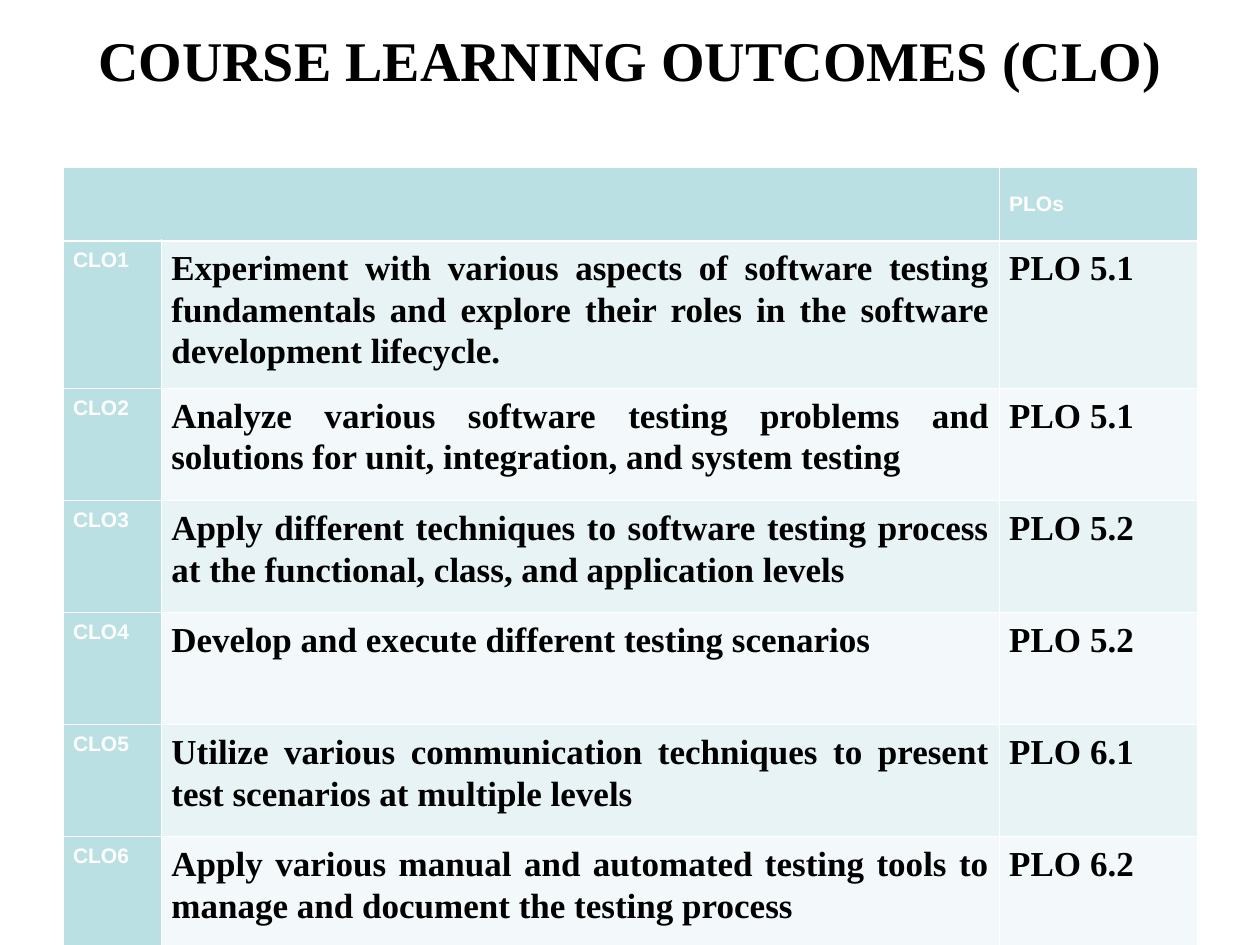
from lxml.etree import SubElement
from pptx import Presentation
from pptx.dml.color import RGBColor
from pptx.enum.text import MSO_ANCHOR, PP_ALIGN
from pptx.oxml.ns import qn
from pptx.util import Inches, Pt

WIDTH, HEIGHT = 10, 7.5
MARGIN = 0.05 * WIDTH
CONTENT_WIDTH = WIDTH - 2 * MARGIN
COLUMNS = [0.78, 6.65, 1.57]
ROWS = [0.58, 1.07] + [0.89] * 5

HEADING_FILL = "BBE0E3"
BAND_FILLS = ["E7F3F4", "F3F9FA"]
WHITE, BLACK = "FFFFFF", "000000"
THIN, THICK = 0.45, 1.47

LABEL = {"size": 12, "font": "Arial", "color": WHITE}
BODY = {"size": 20, "font": "Times New Roman", "color": BLACK}
TITLE = {**BODY, "size": 32}

OUTCOMES = [
    ("Experiment with various aspects of software testing fundamentals and explore "
     "their roles in the software development lifecycle.", "PLO 5.1"),
    ("Analyze various software testing problems and solutions for unit, integration, "
     "and system testing", "PLO 5.1"),
    ("Apply different techniques to software testing process at the functional, class, "
     "and application levels", "PLO 5.2"),
    ("Develop and execute different testing scenarios", "PLO 5.2"),
    ("Utilize various communication techniques to present test scenarios at multiple "
     "levels", "PLO 6.1"),
    ("Apply various manual and automated testing tools to manage and document the "
     "testing process", "PLO 6.2"),
]


def rgb(code):
    return RGBColor.from_string(code)


def add_span(para, text, size, font, color):
    span = para.add_run()
    span.text = text
    span.font.size = Pt(size)
    span.font.name = font
    span.font.bold = True
    span.font.color.rgb = rgb(color)


def add_title(slide, text):
    box = slide.shapes.add_textbox(Inches(MARGIN), Inches(0.06),
                                   Inches(CONTENT_WIDTH), Inches(1.27))
    frame = box.text_frame
    frame.word_wrap = True
    frame.vertical_anchor = MSO_ANCHOR.TOP
    frame.margin_top = Inches(0.14)
    para = frame.paragraphs[0]
    para.alignment = PP_ALIGN.CENTER
    add_span(para, text, **TITLE)


def set_borders(cell, top=THIN, bottom=THIN):
    properties = cell._tc.get_or_add_tcPr()
    widths = {"a:lnL": THIN, "a:lnR": THIN, "a:lnT": top, "a:lnB": bottom}
    for tag, width in widths.items():
        line = SubElement(properties, qn(tag), w=str(Pt(width)))
        fill = SubElement(line, qn("a:solidFill"))
        SubElement(fill, qn("a:srgbClr"), val=WHITE)


def style_cell(cell, fill, **borders):
    set_borders(cell, **borders)
    cell.fill.solid()
    cell.fill.fore_color.rgb = rgb(fill)
    cell.margin_left = cell.margin_right = Inches(0.08)
    cell.margin_top = cell.margin_bottom = Inches(0.05)


def fill_header(table):
    for column in range(len(COLUMNS)):
        style_cell(table.cell(0, column), HEADING_FILL, bottom=THICK)
    table.cell(0, 0).merge(table.cell(0, 1))
    heading = table.cell(0, 2)
    heading.vertical_anchor = MSO_ANCHOR.MIDDLE
    add_span(heading.text_frame.paragraphs[0], "PLOs", **LABEL)


def fill_outcome(table, row, outcome, program_outcome):
    band = BAND_FILLS[(row - 1) % 2]
    contents = [(f"CLO{row}", LABEL, HEADING_FILL),
                (outcome, BODY, band),
                (program_outcome, BODY, band)]
    for column, (text, style, fill) in enumerate(contents):
        cell = table.cell(row, column)
        style_cell(cell, fill, top=THICK if row == 1 else THIN)
        para = cell.text_frame.paragraphs[0]
        para.alignment = PP_ALIGN.JUSTIFY
        para.line_spacing = 1.07
        add_span(para, text, **style)


def add_outcome_table(slide):
    table = slide.shapes.add_table(
        len(ROWS), len(COLUMNS), Inches(MARGIN), Inches(1.33),
        Inches(CONTENT_WIDTH), Inches(sum(ROWS))).table
    for column, width in zip(table.columns, COLUMNS):
        column.width = Inches(width)
    for row, height in zip(table.rows, ROWS):
        row.height = Inches(height)
    fill_header(table)
    for row, (outcome, program_outcome) in enumerate(OUTCOMES, start=1):
        fill_outcome(table, row, outcome, program_outcome)


def main():
    deck = Presentation()
    deck.slide_width, deck.slide_height = Inches(WIDTH), Inches(HEIGHT)
    slide = deck.slides.add_slide(deck.slide_layouts[6])
    slide.background.fill.solid()
    slide.background.fill.fore_color.rgb = rgb(WHITE)

    # Heading
    add_title(slide, "COURSE LEARNING OUTCOMES (CLO)")

    # Course outcomes matched to program outcomes
    add_outcome_table(slide)

    deck.save("out.pptx")


if __name__ == "__main__":
    main()
